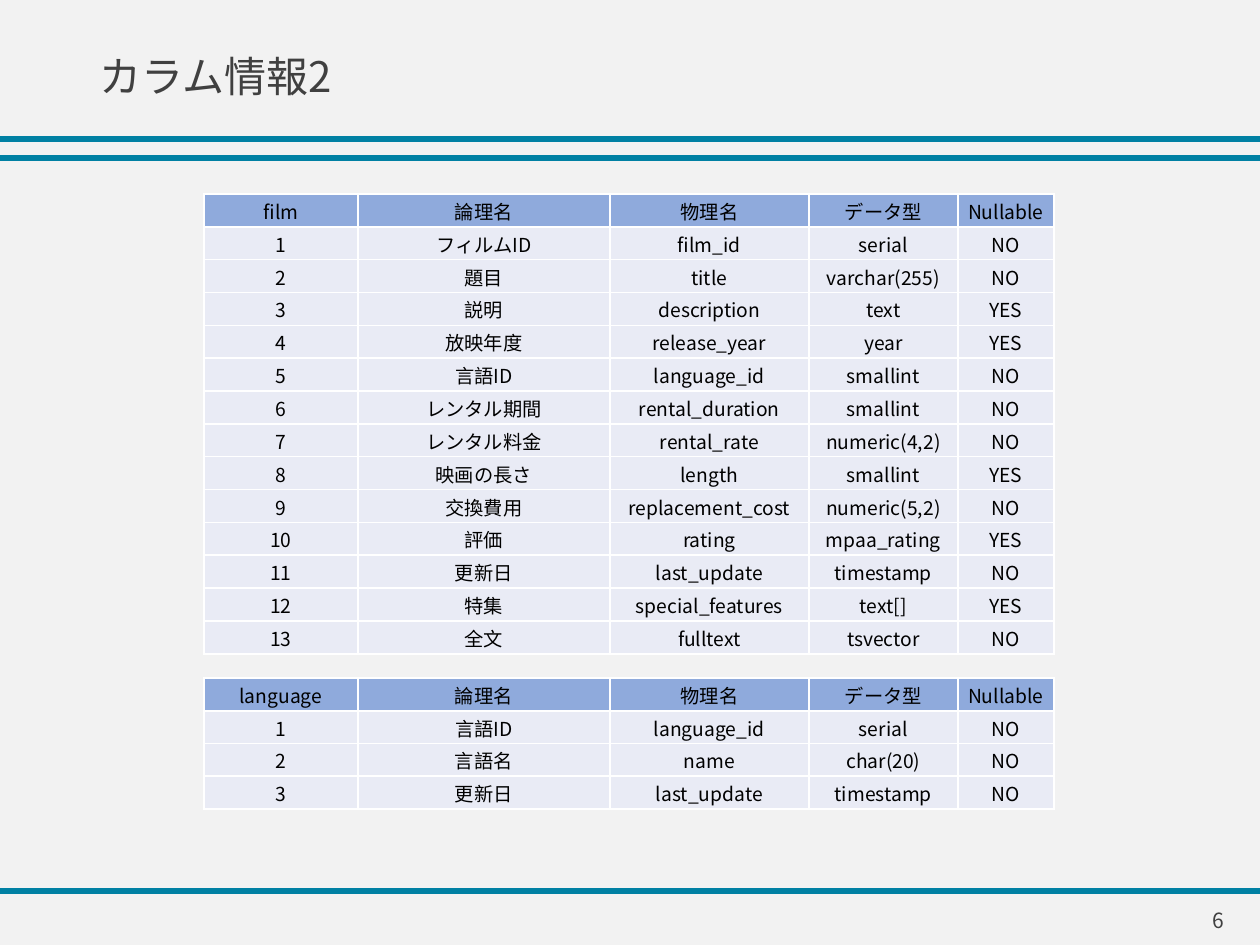
"""Build the column information slide with the film and language tables."""
from dataclasses import dataclass

from lxml import etree
from pptx import Presentation
from pptx.dml.color import RGBColor
from pptx.enum.shapes import MSO_CONNECTOR
from pptx.enum.text import MSO_ANCHOR, MSO_AUTO_SIZE, PP_ALIGN
from pptx.oxml.ns import qn
from pptx.util import Emu, Pt

STRAIGHT = MSO_CONNECTOR.STRAIGHT
MIDDLE = MSO_ANCHOR.MIDDLE
NO_FIT = MSO_AUTO_SIZE.NONE
LEFT, CENTER, RIGHT = PP_ALIGN.LEFT, PP_ALIGN.CENTER, PP_ALIGN.RIGHT

TITLE = "カラム情報2"
PAGE_NUMBER = "6"
HEADINGS = ("論理名", "物理名", "データ型", "Nullable")
FILM = [
    ("フィルムID", "film_id", "serial", "NO"),
    ("題目", "title", "varchar(255)", "NO"),
    ("説明", "description", "text", "YES"),
    ("放映年度", "release_year", "year", "YES"),
    ("言語ID", "language_id", "smallint", "NO"),
    ("レンタル期間", "rental_duration", "smallint", "NO"),
    ("レンタル料金", "rental_rate", "numeric(4,2)", "NO"),
    ("映画の長さ", "length", "smallint", "YES"),
    ("交換費用", "replacement_cost", "numeric(5,2)", "NO"),
    ("評価", "rating", "mpaa_rating", "YES"),
    ("更新日", "last_update", "timestamp", "NO"),
    ("特集", "special_features", "text[]", "YES"),
    ("全文", "fulltext", "tsvector", "NO"),
]
LANGUAGE = [
    ("言語ID", "language_id", "serial", "NO"),
    ("言語名", "name", "char(20)", "NO"),
    ("更新日", "last_update", "timestamp", "NO"),
]
TABLES = [("film", FILM, 194, 460), ("language", LANGUAGE, 678, 131)]

PAGE_WIDTH, PAGE_HEIGHT = 1260, 945
RULE_TOPS = (139, 158, 891)
TITLE_BOX = (87, 19, 820, 120)
NUMBER_BOX = (954, 895, 283, 50)
TABLE_LEFT = 204
COLUMN_WIDTHS = (154, 252, 199, 149, 96)


@dataclass(frozen=True)
class Theme:
    font: str = "Noto Sans CJK JP"
    background: str = "F2F2F2"
    rule: str = "0080A3"
    text: str = "404040"
    cell_text: str = "000000"
    header: str = "8FAADC"
    body: str = "E9EBF5"
    border: str = "FFFFFF"
    title_size: int = 24
    cell_size: int = 11
    number_size: int = 12
    rule_width: int = 3
    border_width: int = 1


THEME = Theme()


def px(value):
    return Emu(round(value * 914400 / 126))


def color(code):
    return RGBColor.from_string(code)


def write(frame, text, *, size, ink=THEME.text, align=LEFT, line_spacing=None):
    frame.word_wrap = True
    para = frame.paragraphs[0]
    para.alignment = align
    if line_spacing:
        para.line_spacing = line_spacing
    span = para.add_run()
    span.text = text
    span.font.size = Pt(size)
    span.font.bold = False
    span.font.color.rgb = color(ink)
    span.font.name = THEME.font
    east_asian = etree.SubElement(span.font._element, qn("a:ea"))
    east_asian.set("typeface", THEME.font)


def add_rule(page, top):
    rule = page.shapes.add_connector(STRAIGHT, 0, px(top), px(PAGE_WIDTH), px(top))
    rule.line.color.rgb = color(THEME.rule)
    rule.line.width = Pt(THEME.rule_width)
    etree.SubElement(rule._element.spPr, qn("a:effectLst"))


def add_borders(cell):
    properties = cell._tc.get_or_add_tcPr()
    for position, side in enumerate(("a:lnL", "a:lnR", "a:lnT", "a:lnB")):
        border = etree.Element(qn(side), w=str(Pt(THEME.border_width)))
        fill = etree.SubElement(border, qn("a:solidFill"))
        etree.SubElement(fill, qn("a:srgbClr"), val=THEME.border)
        properties.insert(position, border)


def format_cell(cell, text, fill):
    cell.fill.solid()
    cell.fill.fore_color.rgb = color(fill)
    cell.vertical_anchor = MIDDLE
    cell.margin_left = cell.margin_right = cell.margin_top = px(1)
    cell.margin_bottom = 0
    write(cell.text_frame, text, size=THEME.cell_size, ink=THEME.cell_text, align=CENTER)
    add_borders(cell)


def add_columns_table(page, name, columns, top, height):
    rows = [(name, *HEADINGS)]
    rows += [(str(number), *column) for number, column in enumerate(columns, 1)]
    table = page.shapes.add_table(
        len(rows), len(COLUMN_WIDTHS),
        px(TABLE_LEFT), px(top), px(sum(COLUMN_WIDTHS)), px(height),
    ).table
    table.horz_banding = False
    for column, width in zip(table.columns, COLUMN_WIDTHS):
        column.width = px(width)
    for row_index, values in enumerate(rows):
        table.rows[row_index].height = px(height / len(rows))
        fill = THEME.body if row_index else THEME.header
        for column_index, text in enumerate(values):
            format_cell(table.cell(row_index, column_index), text, fill)


def add_title(page):
    title = page.shapes.title
    title.left, title.top, title.width, title.height = map(px, TITLE_BOX)
    title.text_frame.vertical_anchor = MIDDLE
    title.text_frame.auto_size = NO_FIT
    write(title.text_frame, TITLE, size=THEME.title_size, line_spacing=0.9)


def add_page_number(page):
    box = page.shapes.add_textbox(*map(px, NUMBER_BOX))
    box.text_frame.vertical_anchor = MIDDLE
    write(box.text_frame, PAGE_NUMBER, size=THEME.number_size, align=RIGHT)


def main():
    deck = Presentation()
    deck.slide_width, deck.slide_height = px(PAGE_WIDTH), px(PAGE_HEIGHT)
    page = deck.slides.add_slide(deck.slide_layouts[5])
    page.background.fill.solid()
    page.background.fill.fore_color.rgb = color(THEME.background)
    for top in RULE_TOPS:
        add_rule(page, top)
    add_title(page)
    for table in TABLES:
        add_columns_table(page, *table)
    add_page_number(page)
    deck.save("out.pptx")


if __name__ == "__main__":
    main()
